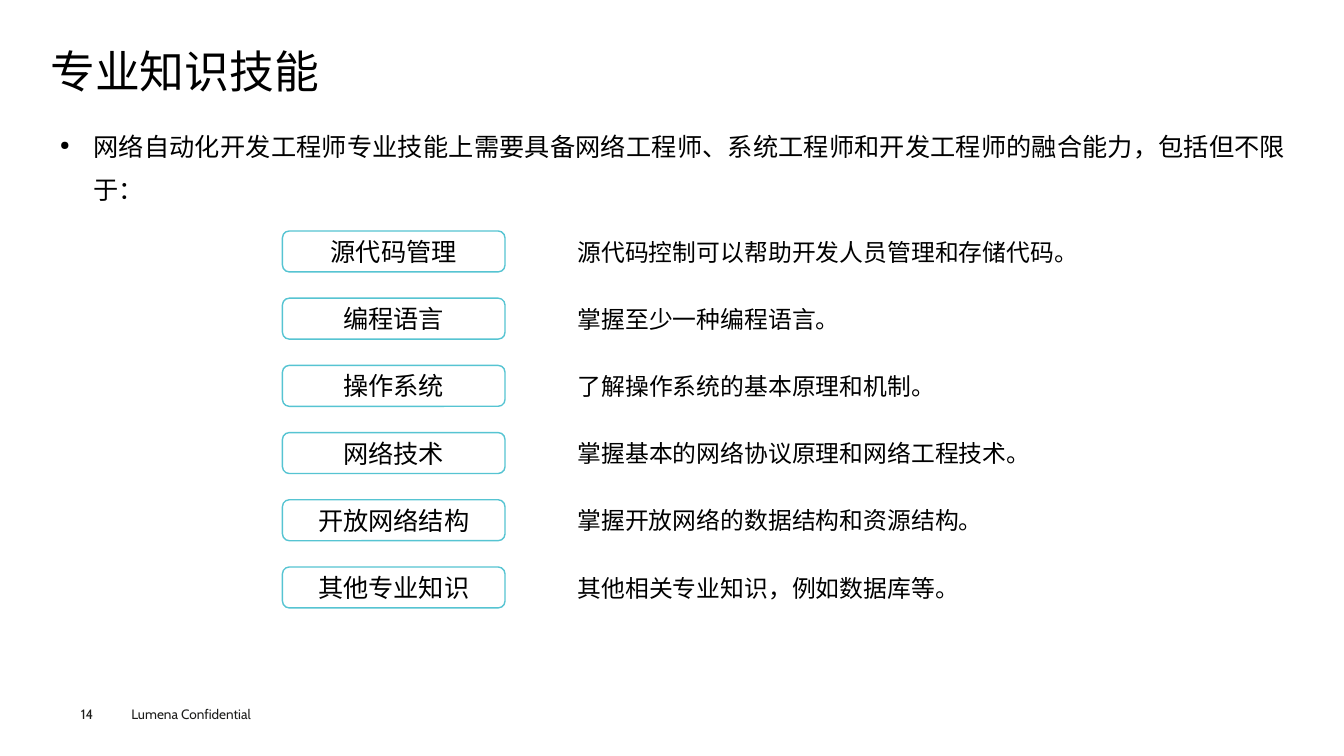
from dataclasses import dataclass

from lxml import etree
from pptx import Presentation
from pptx import util as u
from pptx.dml.color import RGBColor
from pptx.enum import shapes, text
from pptx.oxml import ns


@dataclass(frozen=True)
class Theme:
    font: str = "Cabin"
    ink: str = "000000"
    footer_ink: str = "1D1D1B"
    accent: str = "56C4D2"
    title: float = 32
    body: float = 18
    detail: float = 17
    footer: float = 9.7


theme = Theme()


def px(n):
    return u.Emu(n * 9525)


def put_text(sp, words, size, color=theme.ink, margins=(0, 0, 0, 0)):
    """Fill a shape with one paragraph; margins run left, top, right, bottom."""
    tf = sp.text_frame
    tf.word_wrap = True
    tf.margin_left, tf.margin_top, tf.margin_right, tf.margin_bottom = map(px, margins)
    tf.text = words
    p = tf.paragraphs[0]
    font = p.runs[0].font
    font.name, font.size = theme.font, u.Pt(size)
    font.color.rgb = RGBColor.from_string(color)
    return p


prs = Presentation()
prs.slide_width, prs.slide_height = px(1280), px(720)
s = prs.slides.add_slide(prs.slide_layouts[6])

title = s.shapes.add_textbox(px(48), px(47), px(1186), px(51))
p = put_text(title, "专业知识技能", theme.title)
p.line_spacing = 0.9

intro = s.shapes.add_textbox(px(48), px(110), px(1186), px(90))
p = put_text(
    intro,
    "网络自动化开发工程师专业技能上需要具备网络工程师、系统工程师和开发工程师的融合能力，包括但不限于：",
    theme.body, margins=(9, 4, 9, 4))
p.alignment = text.PP_ALIGN.JUSTIFY
p.line_spacing = 1.4
pPr = p._p.get_or_add_pPr()
pPr.set("marL", str(px(32)))
pPr.set("indent", str(-px(32)))
etree.SubElement(pPr, ns.qn("a:buSzPct")).set("val", "50000")
etree.SubElement(pPr, ns.qn("a:buChar")).set("char", "●")

skills = [
    ("源代码管理", "源代码控制可以帮助开发人员管理和存储代码。"),
    ("编程语言", "掌握至少一种编程语言。"),
    ("操作系统", "了解操作系统的基本原理和机制。"),
    ("网络技术", "掌握基本的网络协议原理和网络工程技术。"),
    ("开放网络结构", "掌握开放网络的数据结构和资源结构。"),
    ("其他专业知识", "其他相关专业知识，例如数据库等。"),
]
for i, (skill, detail) in enumerate(skills):
    top = 220 + 64 * i
    sp = s.shapes.add_shape(shapes.MSO_SHAPE.ROUNDED_RECTANGLE,
                            px(269), px(top), px(212), px(39))
    sp.shadow.inherit = False
    sp.fill.background()
    sp.line.color.rgb = RGBColor.from_string(theme.accent)
    sp.line.width = u.Pt(1)
    p = put_text(sp, skill, theme.body)
    p.alignment = text.PP_ALIGN.CENTER
    sp.text_frame.vertical_anchor = text.MSO_ANCHOR.MIDDLE

    box = s.shapes.add_textbox(px(540), px(top + 1), px(23 * len(detail) + 19), px(37))
    put_text(box, detail, theme.detail, margins=(10, 5, 0, 5))

number = s.shapes.add_textbox(px(77), px(672), px(53), px(15))
put_text(number, "14", theme.footer, theme.footer_ink)

footer = s.shapes.add_textbox(px(115), px(667), px(154), px(26))
put_text(footer, "Lumena Confidential", theme.footer, theme.footer_ink, (10, 5, 10, 5))

prs.save("out.pptx")
